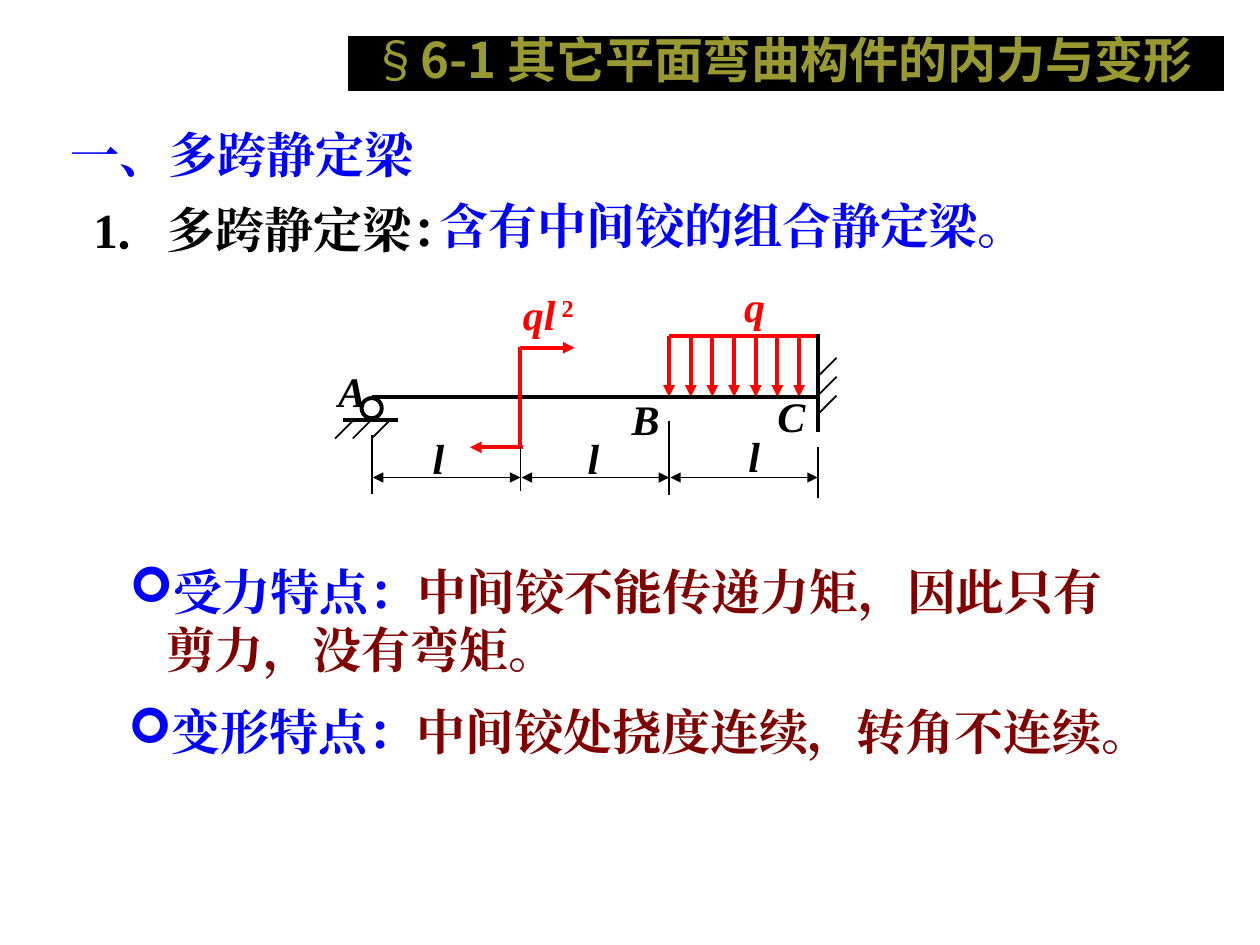
import pptx
import pptx.dml.color
import pptx.enum.shapes
import pptx.enum.text
import pptx.oxml.ns
import pptx.util
from lxml import etree

Inches = pptx.util.Inches
Pt = pptx.util.Pt
ALIGN = pptx.enum.text.PP_ALIGN
ANCHOR = pptx.enum.text.MSO_ANCHOR
FIT = pptx.enum.text.MSO_AUTO_SIZE
SHAPE = pptx.enum.shapes.MSO_SHAPE
SERIF, SANS = "Times New Roman", "Noto Sans CJK SC"
BLACK, RED, BLUE, MAROON, OLIVE = "000000", "FF0000", "0000FF", "800000", "999933"
THICK, THIN = 2.25, 1


def color(value):
    return pptx.dml.color.RGBColor.from_string(value)


def add_element(parent, tag, **attributes):
    return etree.SubElement(parent, pptx.oxml.ns.qn(tag), **attributes)


class BeamSlide:
    """Holds the style and the current slide, and draws each kind of element."""

    def __init__(self, presentation):
        self.slide = presentation.slides.add_slide(presentation.slide_layouts[5])

    def format_font(self, paragraph, size, fill, font, bold=True, italic=False):
        paragraph.font.size = Pt(size)
        paragraph.font.bold = bold
        paragraph.font.italic = italic
        paragraph.font.color.rgb = color(fill)
        paragraph.font.name = font
        defaults = paragraph._p.pPr.find(pptx.oxml.ns.qn("a:defRPr"))
        add_element(defaults, "a:ea", typeface=font)

    def title(self, box, symbol, text):
        shape = self.slide.shapes.title
        shape.left, shape.top, shape.width, shape.height = map(Inches, box)
        frame = shape.text_frame
        frame.word_wrap = True
        frame.auto_size = FIT.NONE
        frame.vertical_anchor = ANCHOR.MIDDLE
        paragraph = frame.paragraphs[0]
        paragraph.alignment = ALIGN.CENTER
        self.format_font(paragraph, 28, OLIVE, SANS, bold=None)
        paragraph.add_run().text = symbol
        run = paragraph.add_run()
        run.text = text
        run.font.bold = True

    def text_box(self, box, margins=(0, 0), anchor=ANCHOR.TOP, fit=FIT.SHAPE_TO_FIT_TEXT):
        frame = self.slide.shapes.add_textbox(*map(Inches, box)).text_frame
        frame.word_wrap = True
        frame.auto_size = fit
        frame.vertical_anchor = anchor
        frame.margin_left = frame.margin_right = Inches(margins[0])
        frame.margin_top = frame.margin_bottom = Inches(margins[1])
        return frame.paragraphs[0]

    def heading(self, box, text, fill):
        paragraph = self.text_box(box)
        self.format_font(paragraph, 28, fill, SERIF)
        paragraph.add_run().text = text

    def label(self, box, text, fill=BLACK, exponent=None):
        paragraph = self.text_box(box, fit=FIT.NONE)
        paragraph.alignment = ALIGN.CENTER
        self.format_font(paragraph, 24, fill, SERIF, italic=True)
        paragraph.add_run().text = text
        if exponent:
            paragraph.alignment = ALIGN.LEFT
            run = paragraph.add_run()
            run.text = exponent
            run.font.italic = False
            run._r.get_or_add_rPr().set("baseline", "30000")

    def bullet(self, box, term, text):
        paragraph = self.text_box(box, (0.1, 0.05), ANCHOR.MIDDLE)
        properties = paragraph._p.get_or_add_pPr()
        properties.set("marL", str(Inches(0.29)))
        properties.set("indent", str(-Inches(0.29)))
        add_element(add_element(properties, "a:buClr"), "a:srgbClr", val=BLUE)
        add_element(properties, "a:buFont", typeface="Wingdings")
        add_element(properties, "a:buChar", char="➢")
        self.format_font(paragraph, 28, BLUE, SERIF)
        paragraph.add_run().text = term
        run = paragraph.add_run()
        run.text = text
        run.font.color.rgb = color(MAROON)

    def shape(self, kind, box, line_width, fill=None):
        shape = self.slide.shapes.add_shape(kind, *map(Inches, box))
        shape.shadow.inherit = False
        if fill:
            shape.fill.solid()
            shape.fill.fore_color.rgb = color(fill)
        else:
            shape.fill.background()
        shape.line.color.rgb = color(BLACK)
        shape.line.width = Pt(line_width)

    def line(self, start, end, width=THIN, stroke=BLACK, arrows=()):
        connector = self.slide.shapes.add_connector(
            pptx.enum.shapes.MSO_CONNECTOR.STRAIGHT, *map(Inches, start + end))
        connector.line.color.rgb = color(stroke)
        connector.line.width = Pt(width)
        for arrow in arrows:
            add_element(connector.line._get_or_add_ln(), arrow, type="triangle")
        add_element(connector._element.spPr, "a:effectLst")

    def force(self, start, end):
        self.line(start, end, THICK, RED, ["a:tailEnd"])


def main():
    presentation = pptx.Presentation()
    presentation.slide_width = Inches(10)
    presentation.slide_height = Inches(7.5)
    beam = BeamSlide(presentation)

    beam.shape(SHAPE.RECTANGLE, (2.77, 0.29, 6.94, 0.43), 0.75, BLACK)
    title = beam.slide.shapes.title._element
    title.getparent().append(title)
    beam.title((2.58, 0.12, 7.25, 0.7), "§", "6-1 其它平面弯曲构件的内力与变形")
    beam.heading((0.74, 1.58, 3.49, 0.47), "1．多跨静定梁：", BLACK)
    beam.heading((0.56, 0.99, 3.39, 0.47), "一、多跨静定梁", BLUE)
    beam.heading((3.49, 1.55, 6.03, 0.47), "含有中间铰的组合静定梁。", BLUE)

    support, moment, hinge, wall = 2.95, 4.13, 5.31, 6.49
    axis, load_top, dimension = 3.15, 2.67, 3.79

    beam.label((5.42, 2.23, 1.14, 0.7), "q", RED)
    beam.label((4.15, 2.29, 0.63, 0.69), "ql", RED, " 2")
    beam.force((4.15, 3.55), (3.73, 3.55))
    beam.force((moment, 2.76), (4.56, 2.76))
    for index in range(7):
        x = hinge + index * 0.172
        beam.force((x, load_top), (x, axis))
    beam.line((hinge, load_top), (wall, load_top), THICK, RED)
    beam.line((support, axis), (wall, axis), THICK)

    beam.line((wall, 2.65), (wall, 3.43), THICK)
    for y in (2.99, 3.14, 3.29):
        beam.line((wall, y), (wall + 0.15, y - 0.15))
    beam.line((2.72, 3.33), (3.16, 3.33), THICK)
    for x in (2.81, 2.95, 3.1):
        beam.line((x, 3.33), (x - 0.15, 3.48))
    beam.shape(SHAPE.OVAL, (2.87, 3.16, 0.16, 0.16), THICK)

    for x, top, bottom in ((support, 3.45, 3.92), (moment, axis, 3.9),
                           (hinge, 3.34, 3.93), (wall, 3.55, 3.95)):
        beam.line((x, top), (x, bottom))
    for left, right in ((support, moment), (moment, hinge), (hinge, wall)):
        beam.line((right, dimension), (left + 0.01, dimension),
                  arrows=["a:headEnd", "a:tailEnd"])
    beam.line((moment, 2.75), (moment, 3.55), THICK, RED)

    for text, box in (("A", (2.47, 2.9, 0.65, 0.41)), ("B", (4.8, 3.12, 0.65, 0.41)),
                      ("C", (5.89, 3.1, 0.78, 0.49)), ("l", (3.17, 3.43, 0.62, 0.48)),
                      ("l", (4.4, 3.43, 0.62, 0.48)), ("l", (5.58, 3.42, 0.81, 0.48))):
        beam.label(box, text)

    beam.bullet((0.93, 4.4, 8.26, 1.04), "受力特点：",
                "中间铰不能传递力矩，因此只有剪力，没有弯矩。")
    beam.bullet((0.92, 5.52, 8.68, 0.57), "变形特点：", "中间铰处挠度连续，转角不连续。")
    presentation.save("out.pptx")


if __name__ == "__main__":
    main()
